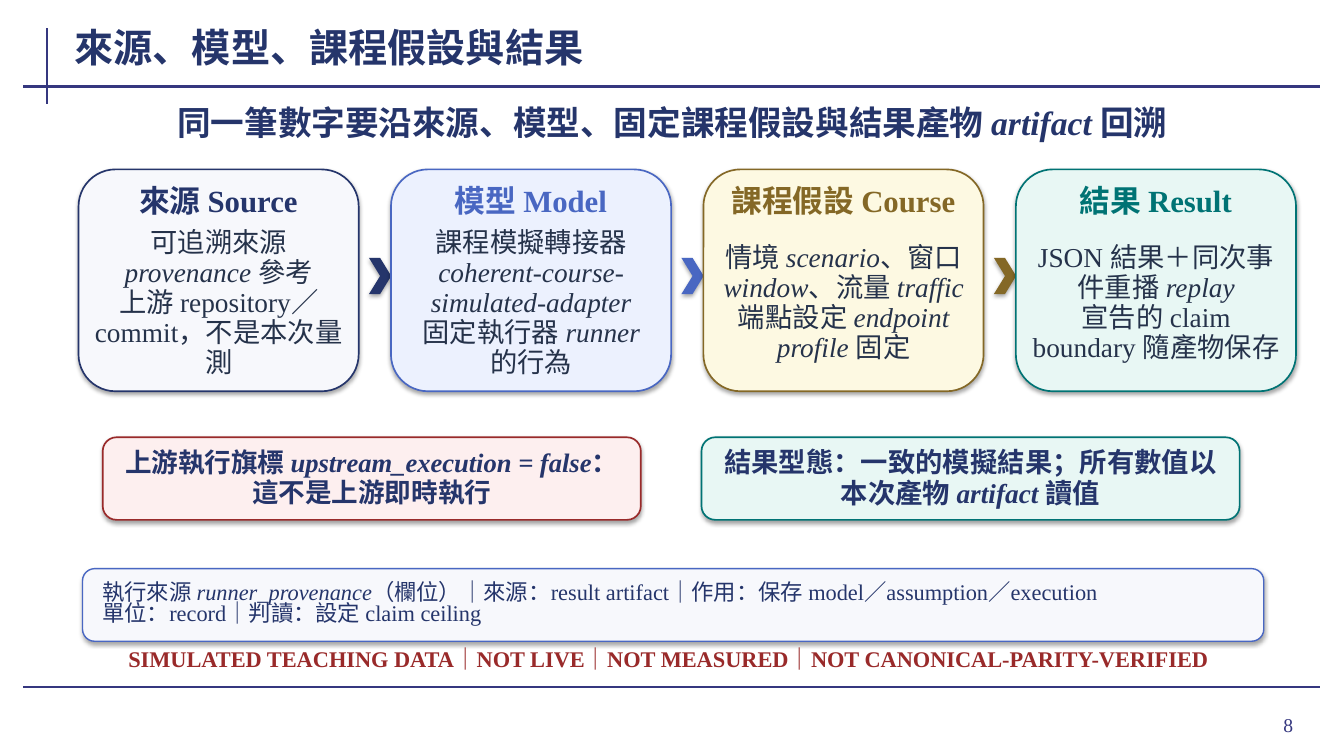
import pptx
import pptx.util
import pptx.dml.color
import pptx.enum.shapes
import pptx.enum.text
import pptx.oxml
import pptx.oxml.ns

Cm = pptx.util.Cm
RGB = pptx.dml.color.RGBColor.from_string
SHAPE = pptx.enum.shapes.MSO_SHAPE
ALIGN = pptx.enum.text.PP_ALIGN
AUTO = pptx.enum.text.MSO_AUTO_SIZE
FONT = "Times New Roman"
COLORS = {
    "rule": "35377F", "navy": "25356B", "ink": "25324A", "blue": "4967C2",
    "gold": "846826", "teal": "007374", "red": "992A2A", "pale": "F7F8FC",
    "pale_blue": "ECF1FE", "cream": "FDF9E2", "mint": "E8F7F4", "rose": "FDEFEF",
}
SHADOW = (
    '<a:effectLst %s><a:outerShdw blurRad="39370" dist="22860" dir="5400000" rotWithShape="0">'
    '<a:srgbClr val="000000"><a:alpha val="35000"/></a:srgbClr>'
    '</a:outerShdw></a:effectLst>' % pptx.oxml.ns.nsdecls("a")
)

prs = pptx.Presentation()
prs.slide_width, prs.slide_height = Cm(33.87), Cm(19.05)
s = prs.slides.add_slide(prs.slide_layouts[6])


def write(sp, paragraphs, size, color, bold=False, align=ALIGN.CENTER,
          spacing=None, insets=(0.05, 0.03), grow=False):
    tf = sp.text_frame
    tf.word_wrap = True
    tf.auto_size = AUTO.SHAPE_TO_FIT_TEXT if grow else AUTO.NONE
    tf.vertical_anchor = pptx.enum.text.MSO_ANCHOR.MIDDLE
    tf.margin_left = tf.margin_right = Cm(insets[0])
    tf.margin_top = tf.margin_bottom = Cm(insets[1])
    for i, text in enumerate(paragraphs):
        p = tf.add_paragraph() if i else tf.paragraphs[0]
        p.alignment = align
        p.line_spacing = spacing
        for j, part in enumerate(text.split("*")):
            if part:
                r = p.add_run()
                r.text = part
                r.font.name = FONT
                r.font.size = pptx.util.Pt(size)
                r.font.bold = bold
                r.font.italic = j % 2 == 1
                r.font.color.rgb = RGB(COLORS[color])


def panel(kind, x, y, w, h, fill, line=None, width=1.2):
    sp = s.shapes.add_shape(kind, Cm(x), Cm(y), Cm(w), Cm(h))
    sp.fill.solid()
    sp.fill.fore_color.rgb = RGB(COLORS[fill])
    if line:
        sp.line.color.rgb = RGB(COLORS[line])
        sp.line.width = pptx.util.Pt(width)
    else:
        sp.line.fill.background()
    sp._element.spPr.append(pptx.oxml.parse_xml(SHADOW))
    return sp


for x1, y1, x2, y2 in [(1.19, 0.71, 1.19, 2.62), (0.58, 2.18, 33.27, 2.18),
                       (0.58, 17.32, 33.27, 17.32)]:
    rule = s.shapes.add_connector(pptx.enum.shapes.MSO_CONNECTOR.STRAIGHT,
                                  Cm(x1), Cm(y1), Cm(x2), Cm(y2))
    rule.line.color.rgb = RGB(COLORS["rule"])
    rule.line.width = pptx.util.Pt(1.5)
    rule._element.spPr.append(
        pptx.oxml.parse_xml("<a:effectLst %s/>" % pptx.oxml.ns.nsdecls("a")))

number = s.shapes.add_textbox(Cm(30.38), Cm(17.6), Cm(2.46), Cm(1.32))
write(number, ["8"], 14, "rule", align=ALIGN.RIGHT, insets=(0.25, 0.13))
title = s.shapes.add_textbox(Cm(1.83), Cm(0.51), Cm(26.29), Cm(1.35))
write(title, ["來源、模型、課程假設與結果"], 28, "navy", True, ALIGN.LEFT, insets=(0.05, 0))
subtitle = s.shapes.add_textbox(Cm(2.49), Cm(2.54), Cm(28.91), Cm(1.07))
write(subtitle, ["同一筆數字要沿來源、模型、固定課程假設與結果產物 *artifact* 回溯"],
      24, "navy", True, grow=True)

cards = [
    ("來源 Source", "navy", "pale",
     ["可追溯來源 *provenance* 參考", "上游 repository／commit，不是本次量測"]),
    ("模型 Model", "blue", "pale_blue",
     ["課程模擬轉接器 *coherent-course-simulated-adapter*", "固定執行器 *runner* 的行為"]),
    ("課程假設 Course", "gold", "cream",
     ["情境 *scenario*、窗口 *window*、流量 *traffic*", "端點設定 *endpoint profile* 固定"]),
    ("結果 Result", "teal", "mint",
     ["JSON 結果＋同次事件重播 *replay*", "宣告的 claim boundary 隨產物保存"]),
]
for i, (name, color, fill, body) in enumerate(cards):
    x = 1.98 + 7.874 * i
    panel(SHAPE.ROUNDED_RECTANGLE, x, 4.27, 7.06, 5.59, fill, color)
    heading = s.shapes.add_textbox(Cm(x + 0.25), Cm(4.57), Cm(6.55), Cm(0.97))
    write(heading, [name], 22, color, True, grow=True)
    detail = s.shapes.add_textbox(Cm(x + 0.36), Cm(5.74), Cm(6.35), Cm(3.81))
    write(detail, body, 19.5, "ink", spacing=0.92, grow=True)
    if i < len(cards) - 1:
        panel(SHAPE.CHEVRON, x + 7.32, 6.5, 0.56, 0.91, color)

for x, fill, line, size, text in [
    (2.59, "rose", "red", 19, "上游執行旗標 *upstream_execution = false*：這不是上游即時執行"),
    (17.68, "mint", "teal", 19.5, "結果型態：一致的模擬結果；所有數值以本次產物 *artifact* 讀值"),
]:
    sp = panel(SHAPE.ROUNDED_RECTANGLE, x, 11.02, 13.56, 2.08, fill, line)
    write(sp, [text], size, "navy", True, spacing=0.94, insets=(0.25, 0.1))

note = panel(SHAPE.ROUNDED_RECTANGLE, 2.08, 14.33, 29.77, 1.83, "pale", "blue", 1)
write(note, ["執行來源 *runner_provenance*（欄位）｜來源：result artifact｜作用：保存 model／assumption／execution",
             "單位：record｜判讀：設定 claim ceiling"],
      16, "navy", align=ALIGN.LEFT, spacing=0.78, insets=(0.41, 0.05))
warning = s.shapes.add_textbox(Cm(2.34), Cm(16.26), Cm(29.01), Cm(0.66))
write(warning, ["SIMULATED TEACHING DATA｜NOT LIVE｜NOT MEASURED｜NOT CANONICAL-PARITY-VERIFIED"],
      16, "red", True, insets=(0, 0), grow=True)

prs.save("out.pptx")
